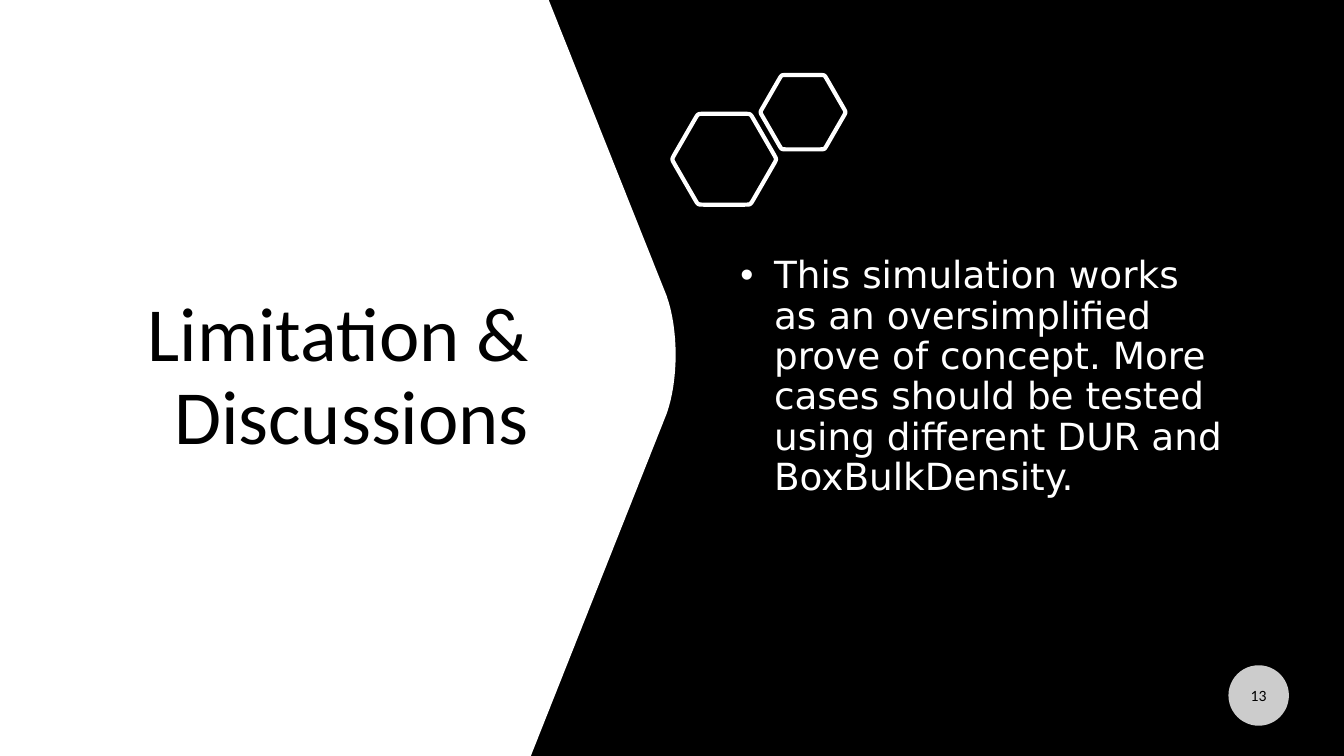
import math
from dataclasses import dataclass

import pptx
import pptx.dml.color
import pptx.enum.shapes
import pptx.enum.text
import pptx.oxml
import pptx.oxml.ns
import pptx.util
from lxml import etree

Pt = pptx.util.Pt
RGB = pptx.dml.color.RGBColor
ALIGN = pptx.enum.text.PP_ALIGN
qn = pptx.oxml.ns.qn


@dataclass(frozen=True)
class Theme:
    dark: RGB = RGB(0, 0, 0)
    light: RGB = RGB(255, 255, 255)
    heading_font: str = "Calibri"
    body_font: str = "DejaVu Sans"
    title_size: float = 41
    body_size: float = 20
    number_size: float = 8.4
    outline_width: float = 2.25


def curve(start, control_1, control_2, end, steps=16):
    points = []
    for step in range(steps + 1):
        t = step / steps
        weights = ((1 - t) ** 3, 3 * t * (1 - t) ** 2, 3 * t * t * (1 - t), t ** 3)
        corners = (start, control_1, control_2, end)
        points.append(tuple(sum(w * p[axis] for w, p in zip(weights, corners))
                            for axis in (0, 1)))
    return points


def rounded_hexagon(center_x, center_y, radius, cut):
    vertices = [(center_x + radius * math.cos(math.radians(angle)),
                 center_y + radius * math.sin(math.radians(angle)))
                for angle in range(0, 360, 60)]

    def toward(vertex, neighbour):
        return tuple(v + (n - v) * cut / radius for v, n in zip(vertex, neighbour))

    points = []
    for i, vertex in enumerate(vertices):
        before, after = vertices[i - 1], vertices[(i + 1) % 6]
        points += curve(toward(vertex, before), vertex, vertex, toward(vertex, after), 8)
    return points


class SlideBuilder:
    """Draws styled elements on the current slide."""

    def __init__(self, slide, theme):
        self.slide = slide
        self.theme = theme

    def background(self):
        fill = self.slide.background.fill
        fill.solid()
        fill.fore_color.rgb = self.theme.dark

    def outline(self, shapes, points, filled):
        scaled = [(Pt(x), Pt(y)) for x, y in points]
        builder = shapes.build_freeform(*scaled[0])
        builder.add_line_segments(scaled[1:], close=True)
        shape = builder.convert_to_shape()
        shape.shadow.inherit = False
        if filled:
            shape.fill.solid()
            shape.fill.fore_color.rgb = self.theme.light
            shape.line.fill.background()
        else:
            shape.fill.background()
            shape.line.color.rgb = self.theme.light
            shape.line.width = Pt(self.theme.outline_width)

    def text(self, shape, wording, font, size, color, align):
        frame = shape.text_frame
        frame.text = wording
        frame.word_wrap = True
        frame.auto_size = pptx.enum.text.MSO_AUTO_SIZE.NONE
        frame.vertical_anchor = pptx.enum.text.MSO_ANCHOR.MIDDLE
        paragraph = frame.paragraphs[0]
        paragraph.alignment = align
        style = paragraph.runs[0].font
        style.name, style.size, style.color.rgb = font, Pt(size), color
        return paragraph

    def placeholder(self, holder, box, wording, font, size, color, align):
        holder.left, holder.top, holder.width, holder.height = map(Pt, box)
        self.slide.shapes._spTree.append(holder._element)
        paragraph = self.text(holder, wording, font, size, color, align)
        paragraph.line_spacing = 0.9
        return paragraph

    def title(self, box, wording):
        paragraph = self.placeholder(
            self.slide.shapes.title, box, wording, self.theme.heading_font,
            self.theme.title_size, self.theme.dark, ALIGN.RIGHT)
        paragraph.space_before = Pt(0)

    def bullet(self, box, wording):
        paragraph = self.placeholder(
            self.slide.placeholders[1], box, wording, self.theme.body_font,
            self.theme.body_size, self.theme.light, ALIGN.LEFT)
        paragraph.space_before = Pt(6)
        properties = paragraph._p.get_or_add_pPr()
        properties.set("marL", str(Pt(23)))
        properties.set("indent", str(Pt(-18)))
        etree.SubElement(properties, qn("a:buChar"), char="•")

    def page_number(self, box, number):
        badge = self.slide.shapes.add_shape(
            pptx.enum.shapes.MSO_SHAPE.OVAL, *map(Pt, box))
        badge.shadow.inherit = False
        badge.fill.solid()
        badge.fill.fore_color.rgb = self.theme.light
        color = badge.fill._xPr.find(qn("a:solidFill"))[0]
        etree.SubElement(color, qn("a:alpha"), val="80000")
        badge.line.fill.background()
        paragraph = self.text(badge, str(number), self.theme.heading_font,
                              self.theme.number_size, self.theme.dark, ALIGN.CENTER)
        paragraph.space_after = Pt(6)
        frame = badge.text_frame
        frame.margin_left = frame.margin_right = Pt(0)
        frame.margin_top = frame.margin_bottom = Pt(0)


def main():
    deck = pptx.Presentation()
    deck.slide_width, deck.slide_height = Pt(720), Pt(405)
    slide = deck.slides.add_slide(deck.slide_layouts[1])
    builder = SlideBuilder(slide, Theme())
    builder.background()

    panel_tip = curve((357.1, 158.4), (363.6, 176.4), (363.6, 203.8), (357.1, 221.8))
    panel = [(0, 0), (294, 0), *panel_tip, (284.4, 405), (0, 405)]
    builder.outline(slide.shapes, panel, filled=True)
    builder.title((45.4, 76.3, 245.5, 252.7), "Limitation & Discussions")

    hexagons = slide.shapes.add_group_shape()
    for hexagon in ((388, 85.3, 28.1, 3), (430.2, 60.1, 23, 2.5)):
        builder.outline(hexagons.shapes, rounded_hexagon(*hexagon), filled=False)

    builder.bullet(
        (384.5, 109.4, 282.2, 185.8),
        "This simulation works as an oversimplified prove of concept. "
        "More cases should be tested using different DUR and BoxBulkDensity.")
    builder.page_number((658.1, 356.4, 32.4, 32.4), 13)
    deck.save("out.pptx")


if __name__ == "__main__":
    main()
